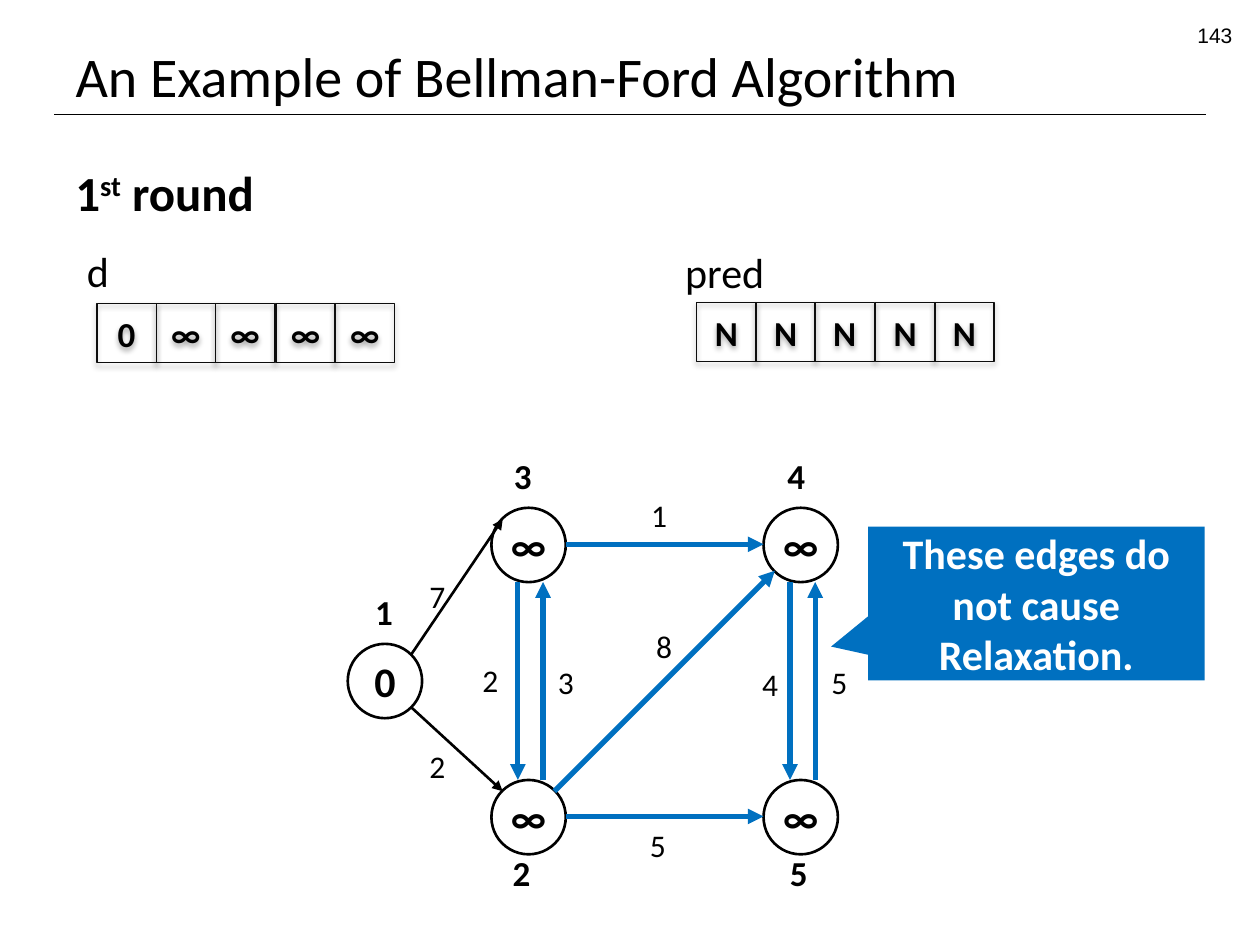
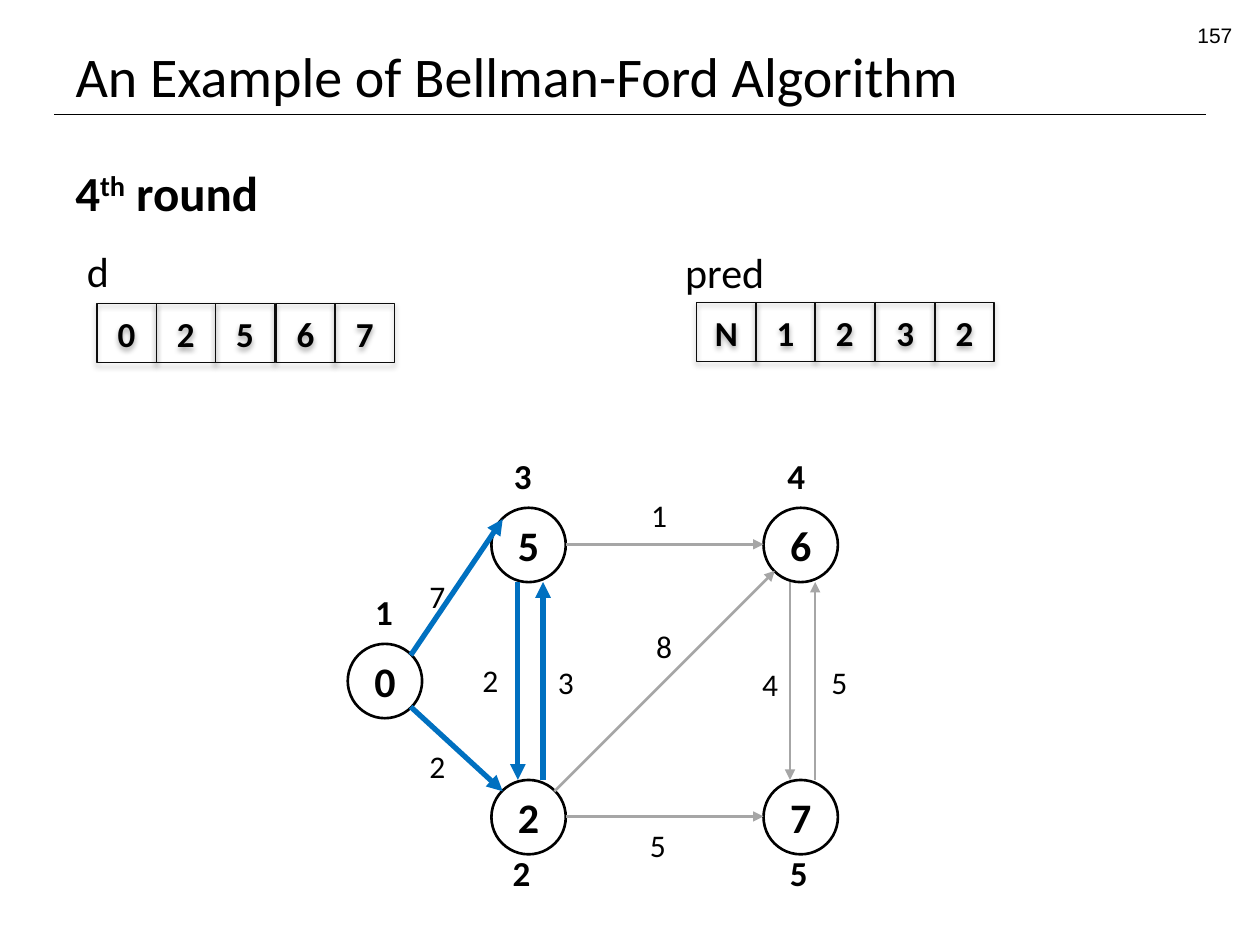
from dataclasses import dataclass

from lxml.etree import SubElement
from pptx import Presentation
from pptx.dml.color import RGBColor
from pptx.enum.shapes import MSO_CONNECTOR, MSO_SHAPE
from pptx.enum.text import MSO_ANCHOR, MSO_AUTO_SIZE, PP_ALIGN
from pptx.oxml.ns import qn
from pptx.util import Pt

LINE = MSO_CONNECTOR.STRAIGHT
RECT, OVAL = MSO_SHAPE.RECTANGLE, MSO_SHAPE.OVAL
CALLOUT = MSO_SHAPE.RECTANGULAR_CALLOUT
LEFT, MID, RIGHT = PP_ALIGN.LEFT, PP_ALIGN.CENTER, PP_ALIGN.RIGHT
MIDDLE, BOTTOM = MSO_ANCHOR.MIDDLE, MSO_ANCHOR.BOTTOM
FIT, FIXED = MSO_AUTO_SIZE.SHAPE_TO_FIT_TEXT, MSO_AUTO_SIZE.NONE

PX = 9144
TITLE_ONLY = 5
TITLE = "An Example of Bellman-Ford Algorithm"
COLORS = {
    "black": "000000",
    "cell": "0D0D0D",
    "blue": "0070C0",
    "grey": "A6A6A6",
    "white": "FFFFFF",
}
DISC, CELL, PITCH = 59, 47, 47.25
PORTS = {
    "E": (59, 29), "W": (0, 29),
    "NE": (50, 9), "SE": (50, 50), "NW": (9, 9), "SW": (9, 50),
    "N1": (21, 0), "N2": (41, 0), "S1": (21, 59), "S2": (41, 59),
}


@dataclass(frozen=True)
class Node:
    left: int
    top: int
    tag: tuple[int, int]


@dataclass(frozen=True)
class Edge:
    start: int
    end: int
    leave: str
    enter: str
    cost: str
    spot: tuple[int, int]


@dataclass(frozen=True)
class Round:
    page: str
    count: str
    suffix: str
    width: int
    dist: str
    pred: str
    active: set[tuple[int, int]]
    rest: str
    note: str = ""


NODES = {
    1: Node(276, 511, (288, 464)),
    2: Node(390, 619, (397, 671)),
    3: Node(390, 403, (398, 356)),
    4: Node(606, 403, (615, 356)),
    5: Node(606, 619, (617, 671)),
}
EDGES = [
    Edge(1, 3, "NE", "NW", "7", (331, 453)),
    Edge(1, 2, "SE", "NW", "2", (331, 588)),
    Edge(3, 4, "E", "W", "1", (507, 389)),
    Edge(4, 5, "S1", "N1", "4", (595, 523)),
    Edge(5, 4, "N2", "S2", "5", (650, 521)),
    Edge(2, 4, "NE", "SW", "8", (511, 493)),
    Edge(2, 5, "E", "W", "5", (506, 651)),
    Edge(3, 2, "S1", "N1", "2", (373, 520)),
    Edge(2, 3, "N2", "S2", "3", (433, 521)),
]
ROUNDS = [
    Round("143", "1", "st", 166, "0∞∞∞∞", "NNNNN",
          {(3, 4), (4, 5), (5, 4), (2, 4), (2, 5), (3, 2), (2, 3)},
          "black", "These edges do not cause Relaxation."),
    Round("157", "4", "th", 170, "02567", "N1232",
          {(1, 3), (1, 2), (3, 2), (2, 3)}, "grey"),
]


def rgb(name: str) -> RGBColor:
    return RGBColor.from_string(COLORS[name])


def scale(*sizes: int) -> list[int]:
    return [round(size * PX) for size in sizes]


def write(para, text: str, size: int, bold: bool = False,
          color: str = "black", face: str = "Calibri"):
    run = para.add_run()
    run.text = text
    font = run.font
    font.name, font.size, font.bold = face, Pt(size), bold
    font.color.rgb = rgb(color)
    return run


def label(slide, left: int, top: int, width: int, height: int):
    frame = slide.shapes.add_textbox(*scale(left, top, width, height)).text_frame
    frame.word_wrap = False
    frame.auto_size = FIT
    return frame.paragraphs[0]


def block(slide, kind, box: tuple[int, int, int, int], text: str, size: int,
          color: str = "black"):
    shape = slide.shapes.add_shape(kind, *scale(*box))
    shape.shadow.inherit = False
    shape.fill.background()
    frame = shape.text_frame
    frame.word_wrap = False
    frame.vertical_anchor = MIDDLE
    para = frame.paragraphs[0]
    para.alignment = MID
    write(para, text, size, True, color)
    return shape


def outline(shape, color: str, width: float) -> None:
    shape.line.color.rgb = rgb(color)
    shape.line.width = Pt(width)


def shade(shape) -> None:
    effects = shape.element.spPr.find(qn("a:effectLst"))
    cast = SubElement(effects, qn("a:outerShdw"), blurRad="40000",
                      dist="23000", dir="5400000", rotWithShape="0")
    tone = SubElement(cast, qn("a:srgbClr"), val=COLORS["black"])
    SubElement(tone, qn("a:alpha"), val="35000")


def stroke(slide, ends: tuple[int, int, int, int], color: str, width: float,
           arrow: bool = False) -> None:
    line = slide.shapes.add_connector(LINE, *scale(*ends))
    outline(line, color, width)
    if arrow:
        SubElement(line.get_or_add_ln(), qn("a:tailEnd"), type="triangle")
    SubElement(line.element.spPr, qn("a:effectLst"))


def head(slide, page: str) -> None:
    title = slide.shapes.title
    title.left, title.top, title.width, title.height = scale(50, 13, 900, 78)
    frame = title.text_frame
    frame.auto_size = FIXED
    frame.vertical_anchor = BOTTOM
    para = frame.paragraphs[0]
    para.alignment = LEFT
    write(para, TITLE, 32)
    stroke(slide, (43, 91, 957, 91), "black", 0.75)
    box = slide.shapes.add_textbox(*scale(755, 13, 233, 28))
    box.text_frame.word_wrap = True
    para = box.text_frame.paragraphs[0]
    para.alignment = RIGHT
    write(para, page, 12, face="Arial")


def array(slide, left: int, top: int, values: str) -> None:
    for i, value in enumerate(values):
        box = (left + round(i * PITCH), top, CELL, CELL)
        cell = block(slide, RECT, box, value, 20)
        outline(cell, "cell", 0.75)
        shade(cell)


def graph(slide, turn: Round) -> None:
    for key, node in NODES.items():
        box = (node.left, node.top, DISC, DISC)
        outline(block(slide, OVAL, box, turn.dist[key - 1], 24), "black", 1.5)
        write(label(slide, *node.tag, 34, 44), str(key), 20, True)
    for edge in EDGES:
        ends = ()
        for key, port in ((edge.start, edge.leave), (edge.end, edge.enter)):
            node, (x, y) = NODES[key], PORTS[port]
            ends += (node.left + x, node.top + y)
        active = (edge.start, edge.end) in turn.active
        color, width = ("blue", 3) if active else (turn.rest, 1.5)
        stroke(slide, ends, color, width, True)
        write(label(slide, *edge.spot, 33, 40), edge.cost, 18)


def remark(slide, text: str) -> None:
    note = block(slide, CALLOUT, (689, 418, 267, 122), text, 24, "white")
    note.text_frame.word_wrap = True
    note.adjustments[0], note.adjustments[1] = -0.61, 0.28
    note.fill.solid()
    note.fill.fore_color.rgb = rgb("blue")
    note.line.fill.background()


def draw(slide, turn: Round) -> None:
    head(slide, turn.page)
    para = label(slide, 50, 124, turn.width, 57)
    write(para, turn.count, 28, True)
    power = write(para, turn.suffix, 28, True)
    power._r.get_or_add_rPr().set("baseline", "30000")
    write(para, " round", 28, True)
    write(label(slide, 59, 190, 38, 50), "d", 24)
    array(slide, 77, 241, turn.dist)
    write(label(slide, 534, 191, 84, 50), "pred", 24)
    array(slide, 553, 240, turn.pred)
    graph(slide, turn)
    if turn.note:
        remark(slide, turn.note)


def main() -> None:
    deck = Presentation()
    deck.slide_width, deck.slide_height = scale(1000, 750)
    for turn in ROUNDS:
        draw(deck.slides.add_slide(deck.slide_layouts[TITLE_ONLY]), turn)
    deck.save("out.pptx")


if __name__ == "__main__":
    main()
